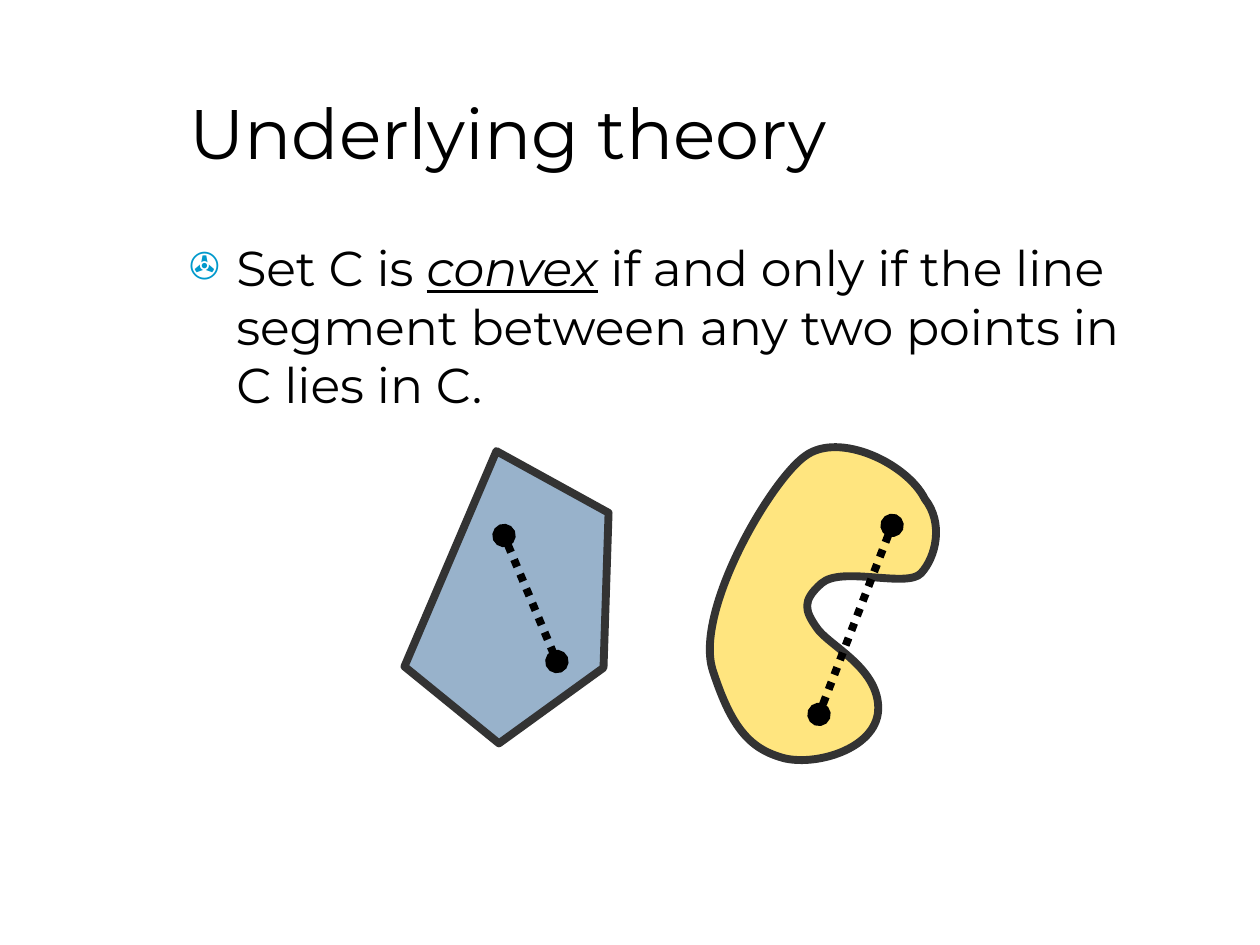
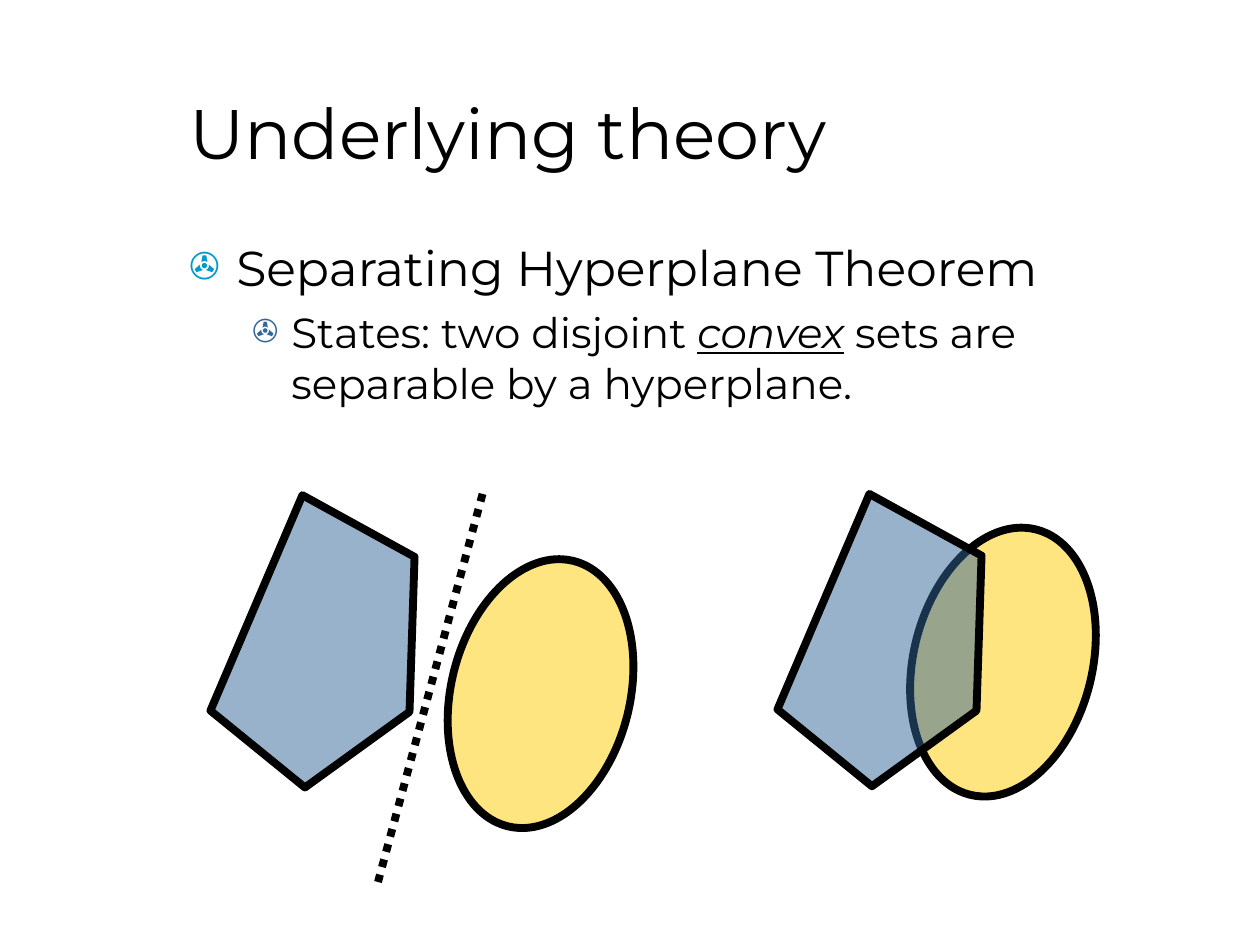
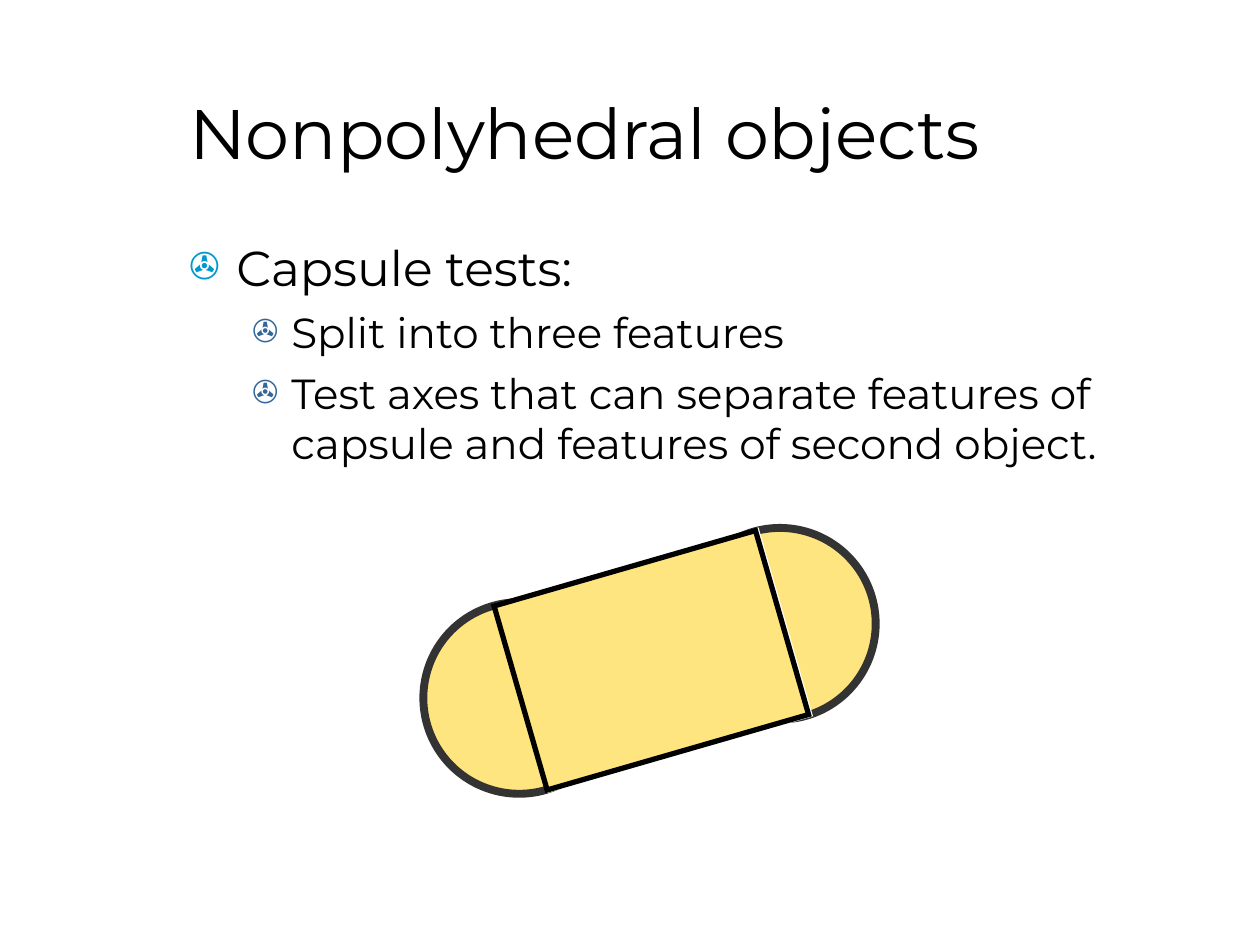
from dataclasses import dataclass

from lxml.etree import SubElement as Sub
from pptx import Presentation
from pptx.dml.color import RGBColor as Rgb
from pptx.enum.dml import MSO_LINE as Dash
from pptx.enum.shapes import MSO_CONNECTOR as Link, MSO_SHAPE as Kind
from pptx.enum.text import MSO_ANCHOR as Anchor, MSO_AUTO_SIZE as Fit, PP_ALIGN as Align
from pptx.oxml.ns import qn
from pptx.util import Inches, Pt

# Shared style
FONT = "Montserrat"
BLACK, WHITE, DARK = "000000", "FFFFFF", "333333"
BLUE, GOLD, CYAN = "336699", "FFCC00", "0099CC"
THICK, THIN = 4.5, 3
LEFT, WIDTH = 1.4, 7.75

Point = tuple[float, float]

# Outlines: corners of the pentagon, then start and cubic curves of the bean
PENTA: list[Point] = [(0.73, 0), (1.62, 0.49), (1.58, 1.72), (0.75, 2.32), (0, 1.71), (0.73, 0)]
BEAN: list[Point] = [
    (6.39, 3.62),
    (6.66, 3.42), (7.2, 3.68), (7.34, 3.96),
    (7.49, 4.15), (7.43, 4.42), (7.31, 4.55),
    (7.2, 4.67), (6.68, 4.49), (6.52, 4.63),
    (6.36, 4.77), (6.39, 4.85), (6.48, 4.98),
    (6.57, 5.12), (6.96, 5.29), (6.97, 5.61),
    (6.98, 5.93), (6.5, 6.08), (6.23, 6.02),
    (5.96, 5.95), (5.81, 5.79), (5.66, 5.33),
    (5.5, 4.87), (6.11, 3.82), (6.39, 3.62),
]


@dataclass
class Level:
    size: float
    margin: float
    hang: float
    before: float
    mark: str


LEVELS = [Level(28, 3 / 8, 3 / 8, 7, CYAN), Level(24, 13 / 16, 5 / 16, 6, BLUE)]


@dataclass
class Item:
    text: str  # asterisks enclose stressed words
    level: int = 0


@dataclass
class Form:
    kind: Kind
    left: float
    top: float
    width: float
    height: float
    turn: float
    fill: str = GOLD
    edge: str = BLACK
    weight: float = THICK
    clear: bool = True


@dataclass
class Dots:
    start: Point
    end: Point
    knobs: bool = False


def color(code: str) -> Rgb:
    return Rgb.from_string(code)


# Text
def place(box, top: float, height: float, pad: float, anchor: Anchor):
    box.left, box.top = Inches(LEFT), Inches(top)
    box.width, box.height = Inches(WIDTH), Inches(height)
    frame = box.text_frame
    frame.word_wrap, frame.auto_size = True, Fit.NONE
    frame.vertical_anchor = anchor
    frame.margin_left = frame.margin_right = Inches(0.1)
    frame.margin_top = frame.margin_bottom = Inches(pad)
    return frame


def style(run, size: float) -> None:
    run.font.name, run.font.size = FONT, Pt(size)
    run.font.color.rgb = color(BLACK)


def bullet(para, level: Level) -> None:
    props = para._p.get_or_add_pPr()
    props.set("marL", str(Inches(level.margin)))
    props.set("indent", str(-Inches(level.hang)))
    Sub(Sub(props, qn("a:buClr")), qn("a:srgbClr"), val=level.mark)
    Sub(props, qn("a:buSzPct"), val="75000")
    Sub(props, qn("a:buChar"), char="✇")


def write(para, item: Item) -> None:
    level = LEVELS[item.level]
    para.level, para.alignment = item.level, Align.LEFT
    para.space_before = Pt(level.before)
    bullet(para, level)
    for index, part in enumerate(item.text.split("*")):
        run = para.add_run()
        run.text = part
        style(run, level.size)
        if index % 2:
            run.font.italic = run.font.underline = True


def new_slide(deck, title: str, items: list[Item]):
    slide = deck.slides.add_slide(deck.slide_layouts[1])
    head, body = slide.placeholders
    frame = place(head, 0.42, 1.25, 0, Anchor.MIDDLE)
    frame.text = title
    frame.paragraphs[0].alignment = Align.LEFT
    style(frame.paragraphs[0].runs[0], 40)
    frame = place(body, 11 / 6, 4.83, 0.05, Anchor.TOP)
    for index, item in enumerate(items):
        write(frame.add_paragraph() if index else frame.paragraphs[0], item)
    return slide


# Shapes
def paint(shape, fill: str, edge: str, weight: float = THICK, clear: bool = True) -> None:
    shape.shadow.inherit = False
    shape.fill.solid()
    shape.fill.fore_color.rgb = color(fill)
    if clear:
        tint = shape.element.spPr.find(qn("a:solidFill"))[0]
        Sub(tint, qn("a:alpha"), val="50000")
    shape.line.color.rgb = color(edge)
    shape.line.width = Pt(weight)


def draw_form(shapes, form: Form) -> None:
    sides = (form.left, form.top, form.width, form.height)
    shape = shapes.add_shape(form.kind, *map(Inches, sides))
    shape.rotation = form.turn
    paint(shape, form.fill, form.edge, form.weight, form.clear)
    if form.kind == Kind.RECTANGLE:
        Sub(shape.element.spPr.find(qn("a:ln")), qn("a:miter"), lim="800000")


def outline(shapes, points: list[Point], fill: str, edge: str):
    first, *rest = [(Inches(x), Inches(y)) for x, y in points]
    pen = shapes.build_freeform(*first)
    pen.add_line_segments(rest, close=True)
    shape = pen.convert_to_shape()
    paint(shape, fill, edge)
    Sub(shape.element.spPr.find(qn("a:ln")), qn("a:round"))
    return shape


def bend(shape) -> None:
    """Turn each three line segments into one cubic curve."""
    lines = list(shape.element.iter(qn("a:lnTo")))
    for index in range(0, len(lines), 3):
        curve, *others = lines[index:index + 3]
        route = curve.getparent()
        cubic = Sub(route, qn("a:cubicBezTo"))
        route.replace(curve, cubic)
        cubic.append(curve[0])
        for line in others:
            cubic.append(line[0])
            route.remove(line)


def penta(shapes, left: float, top: float, edge: str) -> None:
    outline(shapes, [(left + x, top + y) for x, y in PENTA], BLUE, edge)


def draw_dots(shapes, dots: Dots) -> None:
    line = shapes.add_connector(Link.STRAIGHT, *map(Inches, dots.start + dots.end))
    line.line.color.rgb = color(BLACK)
    line.line.width = Pt(THICK)
    line.line.dash_style = Dash.ROUND_DOT
    props = line.element.spPr
    if dots.knobs:
        for tip in ("a:headEnd", "a:tailEnd"):
            Sub(props.find(qn("a:ln")), qn(tip), type="oval")
    Sub(props, qn("a:effectLst"))


# Slides
def convex(deck) -> None:
    shapes = new_slide(deck, "Underlying theory", [
        Item("Set C is *convex* if and only if the line segment between any two points in C lies in C."),
    ]).shapes
    penta(shapes, 3.21, 3.58, DARK)
    bend(outline(shapes, BEAN, GOLD, DARK))
    draw_dots(shapes, Dots((7.08, 4.17), (6.5, 5.67), True))
    draw_dots(shapes, Dots((4, 4.25), (4.42, 5.25), True))


def theorem(deck) -> None:
    shapes = new_slide(deck, "Underlying theory", [
        Item("Separating Hyperplane Theorem"),
        Item("States: two disjoint *convex* sets are separable by a hyperplane.", 1),
    ]).shapes

    def pair(oval: Point, corner: Point) -> None:
        draw_form(shapes, Form(Kind.OVAL, *oval, 1.42, 2.17, 13.9))
        penta(shapes, *corner, BLACK)

    pair((3.58, 4.42), (1.67, 3.93))
    draw_dots(shapes, Dots((3.83, 3.92), (3, 7)))
    pair((7.25, 4.17), (6.17, 3.92))


def capsule(deck) -> None:
    slide = new_slide(deck, "Nonpolyhedral objects", [
        Item("Capsule tests:"),
        Item("Split into three features", 1),
        Item("Test axes that can separate features of capsule and features of second object.", 1),
    ])
    group = slide.shapes.add_group_shape()
    slide.shapes.title.element.addprevious(group.element)  # behind the text
    shapes = group.shapes
    turn, size, span = 343.9, 1.52, 2.16
    for left, top in ((3.36, 4.78), (5.43, 4.19)):
        draw_form(shapes, Form(Kind.OVAL, left, top, size, size, turn, edge=DARK))
    draw_form(shapes, Form(Kind.RECTANGLE, 4.1, 4.48, span, size, turn, WHITE, WHITE, THIN, False))
    draw_form(shapes, Form(Kind.RECTANGLE, 4.09, 4.48, span, size, turn, weight=THIN))


def main() -> None:
    deck = Presentation()
    deck.slide_width, deck.slide_height = Inches(10), Inches(7.5)
    for build in (convex, theorem, capsule):
        build(deck)
    deck.save("out.pptx")


if __name__ == "__main__":
    main()
